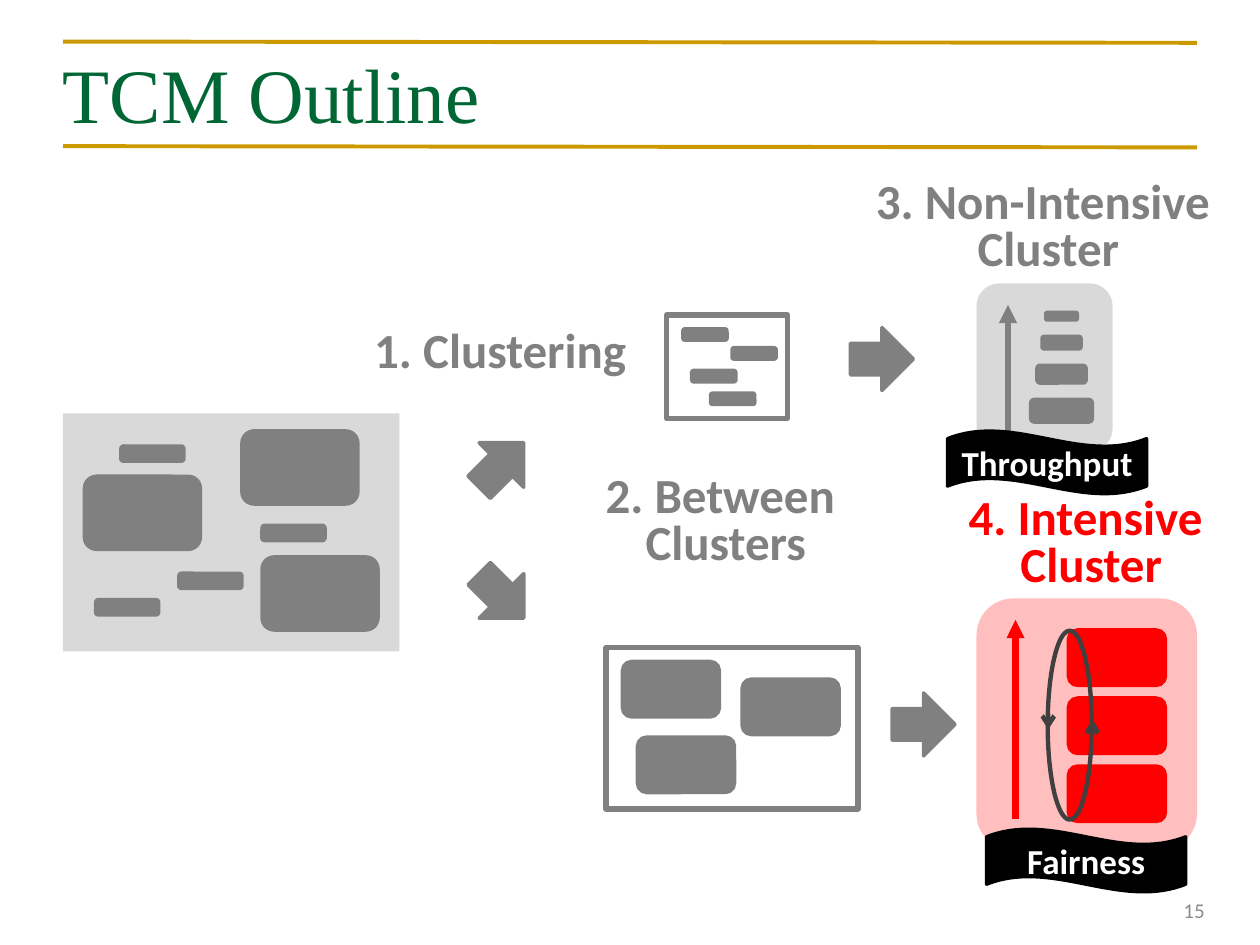
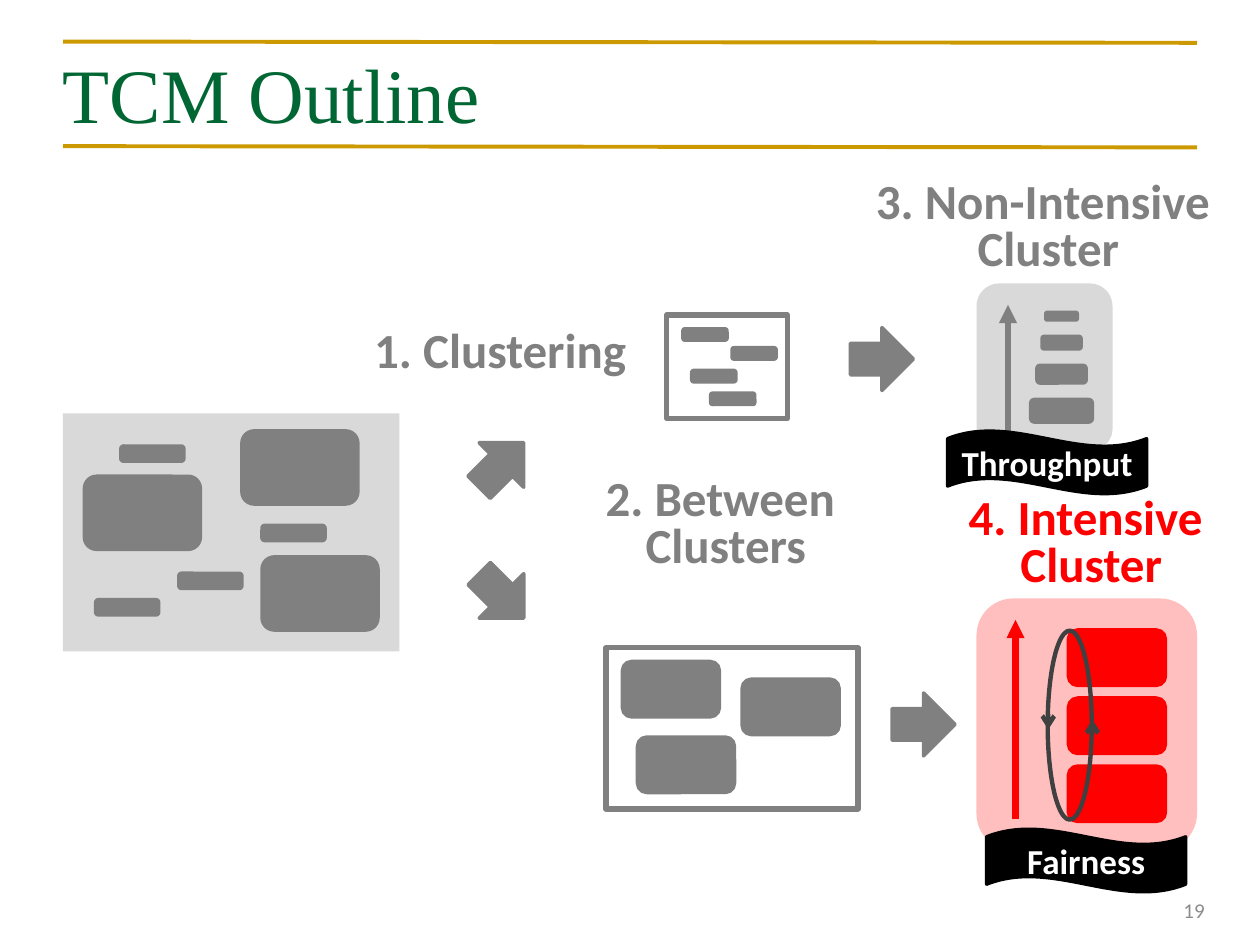
from dataclasses import dataclass
from typing import Any, NamedTuple, Optional

import pptx
import pptx.dml.color
import pptx.enum.shapes
import pptx.enum.text
import pptx.oxml
import pptx.oxml.ns
import pptx.util

RGB = pptx.dml.color.RGBColor
KIND = pptx.enum.shapes.MSO_SHAPE
ALIGN = pptx.enum.text.PP_ALIGN
ANCHOR = pptx.enum.text.MSO_ANCHOR
FIT = pptx.enum.text.MSO_AUTO_SIZE

# Shared colours
GOLD = RGB(0xCC, 0x99, 0x00)
GREEN = RGB(0x00, 0x66, 0x33)
GREY = RGB(0x80, 0x80, 0x80)
PALE = RGB(0xD9, 0xD9, 0xD9)
DARK = RGB(0x40, 0x40, 0x40)
MUTED = RGB(0x8C, 0x8C, 0x8C)
RED = RGB(0xFF, 0x00, 0x00)
BLACK = RGB(0x00, 0x00, 0x00)
WHITE = RGB(0xFF, 0xFF, 0xFF)

# The slide is a grid of 100 columns and 75 rows
WIDE, TALL = pptx.util.Inches(10), pptx.util.Inches(7.5)
COL, ROW = WIDE / 100, TALL / 75

# Font formats
TITLE = {"name": "Times New Roman", "size": pptx.util.Pt(44)}
LABEL = {"name": "Calibri", "size": pptx.util.Pt(28), "bold": True}
RIBBON = {"name": "Calibri", "size": pptx.util.Pt(20), "bold": True}
FOOTER = {"name": "Calibri", "size": pptx.util.Pt(12)}


class Box(NamedTuple):
    col: float
    row: float
    wide: float
    tall: float


class Size(NamedTuple):
    wide: float
    tall: float


class Look(NamedTuple):
    fill: Optional[RGB] = None
    edge: Optional[RGB] = None
    width: float = 2


@dataclass
class Line:
    start: tuple[float, float]
    end: tuple[float, float]
    color: RGB
    width: float
    head: str = ""


@dataclass
class Label:
    box: Box
    lines: list[str]
    color: RGB = GREY


@dataclass
class Page:
    number: int
    middle: float  # row of the label between the clusters


SOLID = Look(GREY, GREY)
HOT = Look(RED, RED)
FRAME = Look(None, GREY, 3)
RING = Look(None, DARK, 2.5)

# Task sizes
SHORT, LARGE = Size(5, 1.2), Size(9.2, 5.8)
THIN, THICK = Size(3.5, 0.9), Size(7.7, 4.4)

POOL = [
    (SHORT, [(14.2, 45.5), (9.6, 35.4), (20.8, 41.7), (7.6, 47.6)]),
    (LARGE, [(20.8, 44.2), (6.7, 37.8), (19.2, 34.2)]),
]
LIGHT = [(54.2, 26.1), (54.9, 29.4), (58.1, 27.6), (56.4, 31.2)]
HEAVY = [(49.4, 52.5), (58.9, 53.9), (50.6, 58.5)]
ARROWS = [(37.3, 34.4, 315), (37.3, 44.8, 45), (67.5, 26, 0), (70.8, 55, 0)]

# Ranked tasks: row, width, height, all centred on one axis
AXIS = 84.25
RANKS = [(24.8, 2.5, 0.6), (26.7, 3.1, 1), (29, 3.9, 1.4), (31.7, 4.9, 1.8)]

LABELS = [
    Label(Box(28.5, 25.8, 22.4, 4.9), ["1. Clustering"]),
    Label(Box(68.3, 13.9, 29.8, 8.5), ["3. Non-Intensive ", "Cluster"]),
    Label(Box(75.7, 39, 21.8, 8.5), ["4. Intensive ", "Cluster"], RED),
]
RULES = [Line((5, row), (95, row + 0.1), GOLD, 2.25) for row in (3.3, 11.6)]
RIBBONS = [("Throughput", 75.2, 34.2), ("Fairness", 78.3, 65.8)]
PAGES = [Page(15, 37.3), Page(19, 37.5)]


def place(box: Box) -> list[int]:
    return [round(n * unit) for n, unit in zip(box, (COL, ROW, COL, ROW))]


def draw(shapes: Any, kind: Any, box: Box, look: Look, turn: float = 0) -> Any:
    shape = shapes.add_shape(kind, *place(box))
    shape.shadow.inherit = False
    shape.rotation = turn
    if look.fill is None:
        shape.fill.background()
    else:
        shape.fill.solid()
        shape.fill.fore_color.rgb = look.fill
    if look.edge is None:
        shape.line.fill.background()
    else:
        shape.line.color.rgb = look.edge
        shape.line.width = pptx.util.Pt(look.width)
    return shape


def fade(shape: Any, share: int) -> None:
    tone = shape.fill._xPr.find(".//" + pptx.oxml.ns.qn("a:srgbClr"))
    alpha = pptx.oxml.parse_xml(
        f'<a:alpha {pptx.oxml.ns.nsdecls("a")} val="{share * 1000}"/>')
    tone.append(alpha)


def write(frame: Any, lines: list[str], style: dict, color: RGB,
          align: Any, space: Optional[float] = None) -> None:
    for i, text in enumerate(lines):
        para = frame.add_paragraph() if i else frame.paragraphs[0]
        para.alignment = align
        if space:
            para.line_spacing = space
        run = para.add_run()
        run.text = text
        for key, value in style.items():
            setattr(run.font, key, value)
        run.font.color.rgb = color


def text_box(shapes: Any, box: Box, form: dict) -> Any:
    frame = shapes.add_textbox(*place(box)).text_frame
    for key, value in form.items():
        setattr(frame, key, value)
    return frame


def link(shapes: Any, line: Line) -> None:
    ends = [round(n * unit) for point in (line.start, line.end)
            for n, unit in zip(point, (COL, ROW))]
    wire = shapes.add_connector(
        pptx.enum.shapes.MSO_CONNECTOR.STRAIGHT, *ends)
    wire.line.color.rgb = line.color
    wire.line.width = pptx.util.Pt(line.width)
    names = pptx.oxml.ns.nsdecls("a")
    if line.head:
        wire.line._get_or_add_ln().append(pptx.oxml.parse_xml(
            f'<a:tailEnd {names} type="{line.head}"/>'))
    wire._element.spPr.append(pptx.oxml.parse_xml(f"<a:effectLst {names}/>"))


def tasks(shapes: Any, size: Size, spots: list, look: Look = SOLID) -> None:
    for spot in spots:
        draw(shapes, KIND.ROUNDED_RECTANGLE, Box(*spot, *size), look)


def label(shapes: Any, item: Label) -> None:
    frame = text_box(shapes, item.box, {
        "word_wrap": False, "auto_size": FIT.SHAPE_TO_FIT_TEXT})
    write(frame, item.lines, LABEL, item.color, ALIGN.CENTER, 0.8)


def base(shapes: Any, number: int) -> None:
    # Rules, title and page number
    for rule in RULES:
        link(shapes, rule)
    frame = text_box(shapes, Box(5, 3, 90, 8.7), {
        "word_wrap": True, "vertical_anchor": ANCHOR.MIDDLE,
        "margin_left": 0, "margin_right": 0})
    write(frame, ["TCM Outline"], TITLE, GREEN, ALIGN.LEFT)
    frame = text_box(shapes, Box(73.3, 70.2, 23.3, 4), {
        "word_wrap": True, "vertical_anchor": ANCHOR.MIDDLE})
    write(frame, [str(number)], FOOTER, MUTED, ALIGN.RIGHT)


def split(shapes: Any) -> None:
    # Pool of tasks and the two clusters taken from it
    draw(shapes, KIND.RECTANGLE, Box(5, 32.8, 26.7, 18.9), Look(PALE))
    for size, spots in POOL:
        tasks(shapes, size, spots)
    for box, size, spots in [(Box(48.1, 51.4, 20, 12.8), THICK, HEAVY),
                             (Box(52.9, 25, 9.6, 8.2), THIN, LIGHT)]:
        group = shapes.add_group_shape().shapes
        draw(group, KIND.RECTANGLE, box, FRAME)
        tasks(group, size, spots)
    for col, row, turn in ARROWS:
        draw(shapes, KIND.RIGHT_ARROW, Box(col, row, 5, 5), SOLID, turn)


def fair(shapes: Any) -> None:
    # Intensive cluster with its shuffle ring
    card = draw(shapes, KIND.ROUNDED_RECTANGLE,
                Box(77.5, 47.5, 17.5, 20), Look(RED))
    fade(card, 25)
    tasks(shapes, THICK, [(84.8, 50 + 5.4 * i) for i in range(3)], HOT)
    link(shapes, Line((80.6, 65), (80.6, 49.2), RED, 3.5, "triangle"))
    draw(shapes, KIND.OVAL, Box(77.4, 55.8, 15, 3.5), RING, 270)
    for col, top, end in [(83.2, 57.1, 57.9), (86.7, 57.9, 57.1)]:
        link(shapes, Line((col, top), (col, end), DARK, 2.5, "arrow"))


def quick(shapes: Any) -> None:
    # Non-intensive cluster, ranked
    draw(shapes, KIND.ROUNDED_RECTANGLE,
         Box(77.5, 22.5, 10.8, 13.3), Look(PALE))
    for row, wide, tall in RANKS:
        tasks(shapes, Size(wide, tall), [(AXIS - wide / 2, row)])
    link(shapes, Line((80, 34.2), (80, 24.2), GREY, 3.5, "triangle"))


def build(deck: Any, page: Page) -> None:
    shapes = deck.slides.add_slide(deck.slide_layouts[6]).shapes
    base(shapes, page.number)
    split(shapes)
    fair(shapes)
    quick(shapes)
    between = Label(Box(46.9, page.middle, 21.4, 8.5),
                    ["2. Between ", "Clusters"])
    for item in [*LABELS, between]:
        label(shapes, item)
    for text, col, row in RIBBONS:
        wave = draw(shapes, KIND.WAVE, Box(col, row, 15.8, 5),
                    Look(BLACK, BLACK))
        wave.text_frame.vertical_anchor = ANCHOR.MIDDLE
        write(wave.text_frame, [text], RIBBON, WHITE, ALIGN.CENTER)


def main() -> None:
    deck = pptx.Presentation()
    deck.slide_width, deck.slide_height = WIDE, TALL
    for page in PAGES:
        build(deck, page)
    deck.save("out.pptx")


if __name__ == "__main__":
    main()
